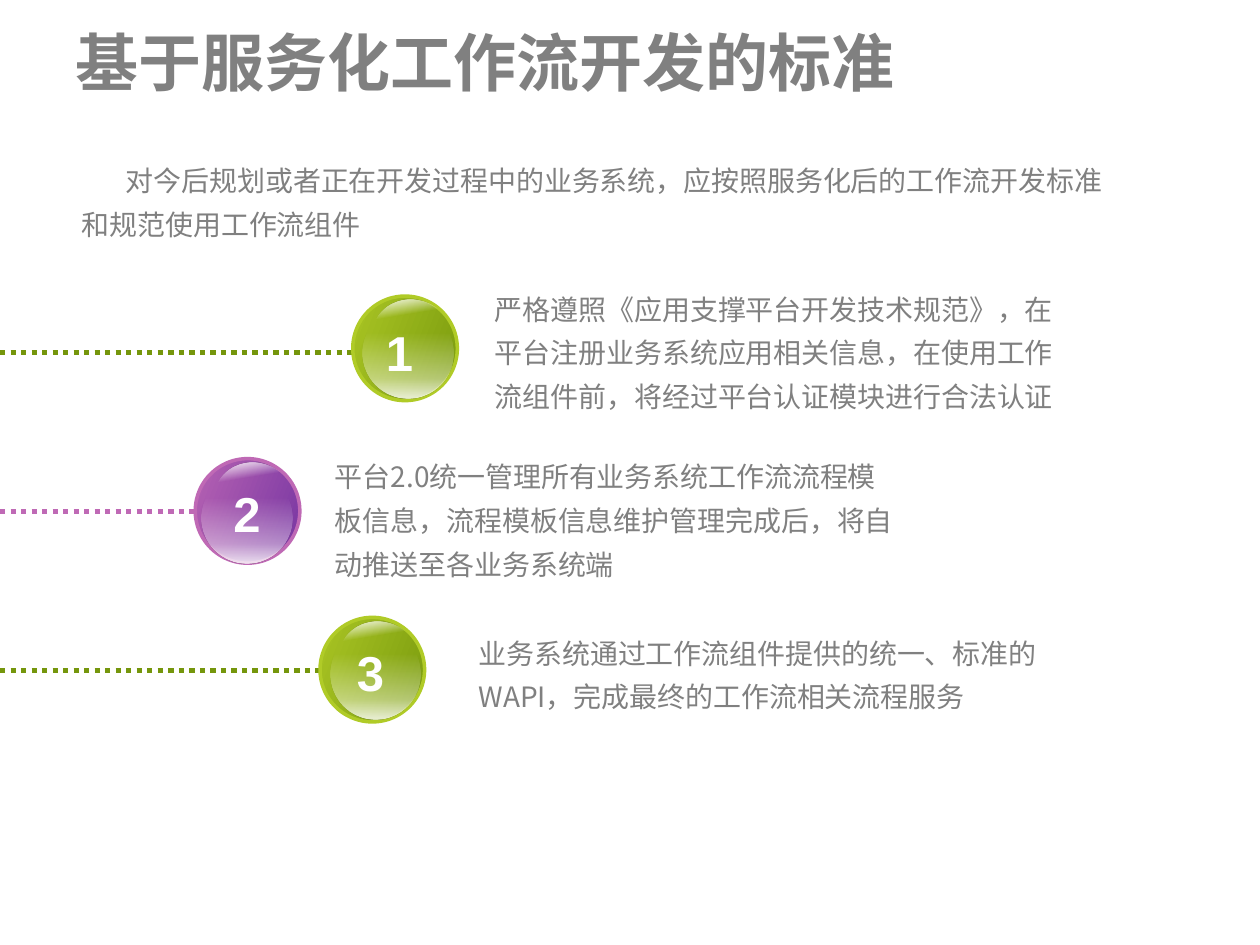
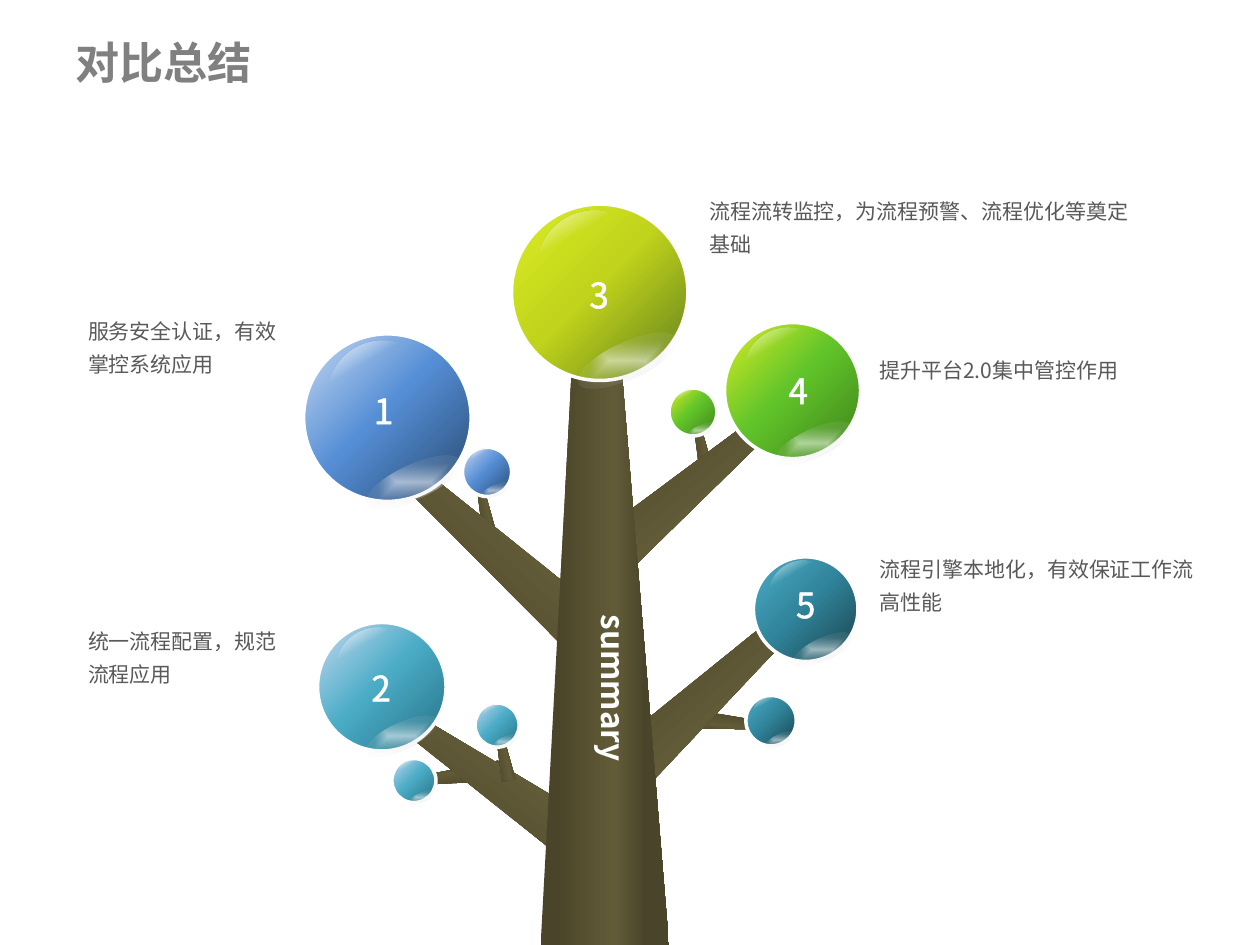
from dataclasses import dataclass

from lxml import etree
from pptx import Presentation
from pptx import util as u
from pptx.dml import color
from pptx.enum import dml, shapes, text
from pptx.oxml import ns


@dataclass(frozen=True)
class Theme:
    font: str = "Noto Sans CJK SC"
    number_font: str = "Arial"
    white: str = "FFFFFF"
    gray: str = "808080"
    dark_gray: str = "595959"
    dark_green: str = "75960C"
    green: str = "B0CB27"
    purple: str = "7030A0"
    pink: str = "BF69B5"
    bark: tuple = ((11, "4A452A"), (58, "625B38"), (82, "4A452A"))
    lime: tuple = ((0, "DAED23"), (47, "C1D31B"), (82, "809B1D"))
    leaf: tuple = ((0, "DAED23"), (47, "61C42A"), (82, "4B991F"))
    blue: tuple = ((0, "C6D9F1"), (47, "558ED5"), (82, "376092"))
    aqua: tuple = ((0, "C6D9F1"), (47, "4BACC6"), (82, "31859C"))
    teal: tuple = ((0, "4BACC6"), (47, "31859C"), (82, "215968"))
    title_size: float = 36
    small_title_size: float = 25.2
    number_size: float = 28
    fruit_size: float = 20
    trunk_size: float = 18
    body_size: float = 16
    note_size: float = 12
    line_spacing: float = 1.3


THEME = Theme()

# Gradient stops: position, colour, opacity (all in percent)
GLOW = ((28, THEME.white, 0), (78, THEME.white, 41), (98, THEME.white, 79))
GLINT = ((0, THEME.white, 55), (50, "D7D7D7", 12), (100, THEME.white, 0))


def sheen(opacity):
    return ((0, THEME.white, 0), (16, THEME.white, opacity), (30, THEME.white, 0))


def inches(values):
    return [u.Inches(value) for value in values]


def add_child(parent, tag, **attributes):
    child = etree.SubElement(parent, ns.qn(tag))
    for name, value in attributes.items():
        child.set(name, str(value))
    return child


def fill_gradient(shape, stops, angle=0, path=None, focus=(0, 0, 100, 100)):
    """Fill with a linear gradient, or a path gradient around a focus."""
    shape.fill.background()
    properties = shape.element.spPr
    placeholder = properties.find(ns.qn("a:noFill"))
    gradient = etree.Element(ns.qn("a:gradFill"), rotWithShape="1")
    stop_list = add_child(gradient, "a:gsLst")
    for position, rgb, *opacity in stops:
        stop = add_child(stop_list, "a:gs", pos=position * 1000)
        stop_color = add_child(stop, "a:srgbClr", val=rgb)
        if opacity:
            add_child(stop_color, "a:alpha", val=opacity[0] * 1000)
    if path:
        path_element = add_child(gradient, "a:path")
        path_element.set("path", path)
        edges = {side: edge * 1000 for side, edge in zip("ltrb", focus)}
        add_child(path_element, "a:fillToRect", **edges)
    else:
        add_child(gradient, "a:lin", ang=angle * 60000, scaled=0)
    properties.replace(placeholder, gradient)


def set_line(shape, rgb=None, width=2):
    if rgb is None:
        shape.line.fill.background()
        return
    shape.line.color.rgb = color.RGBColor.from_string(rgb)
    shape.line.width = u.Pt(width)


def add_text(slide, box, content, size=THEME.body_size, rgb=THEME.gray,
             font=THEME.font, bold=False, align=None, anchor=text.MSO_ANCHOR.TOP,
             spacing=None, indent=0, outline=0, vertical=None, wrap=True):
    shape = slide.shapes.add_textbox(*inches(box))
    frame = shape.text_frame
    frame.word_wrap = wrap
    frame.vertical_anchor = anchor
    if vertical:
        frame._txBody.bodyPr.set("vert", vertical)
    paragraph = frame.paragraphs[0]
    paragraph.alignment = align
    paragraph.line_spacing = spacing
    if indent:
        paragraph._p.get_or_add_pPr().set("indent", str(u.Inches(indent)))
    run = paragraph.add_run()
    run.text = content
    run.font.size = u.Pt(size)
    run.font.bold = bold
    run.font.name = font
    run.font.color.rgb = color.RGBColor.from_string(rgb)
    properties = run._r.get_or_add_rPr()
    add_child(properties, "a:ea", typeface=font)
    if outline:
        line = etree.Element(ns.qn("a:ln"), w=str(u.Pt(outline)))
        add_child(add_child(line, "a:solidFill"), "a:srgbClr", val=rgb)
        properties.insert(0, line)
    return shape


def add_title(slide, content, size):
    add_text(slide, (0.5, 0.21, 9, 0.56), content, size=size, bold=True,
             anchor=text.MSO_ANCHOR.MIDDLE)


def add_oval(group, box, stops, rotation=0, line=None, **gradient):
    oval = group.shapes.add_shape(shapes.MSO_SHAPE.OVAL, *inches(box))
    oval.shadow.inherit = False
    oval.rotation = rotation
    fill_gradient(oval, stops, **gradient)
    set_line(oval, line)


# Slide 1: numbered glass balls on dotted lines

def add_dotted_line(slide, y, end, rgb):
    line = slide.shapes.add_connector(
        shapes.MSO_CONNECTOR.STRAIGHT, *inches((0, y, end, y)))
    set_line(line, rgb, 3)
    line.line.dash_style = dml.MSO_LINE.ROUND_DOT
    add_child(line.element.spPr, "a:effectLst")


def add_glass_ball(slide, left, top, dark, light, glow_offset):
    group = slide.shapes.add_group_shape()
    glow_x, glow_y = glow_offset
    add_oval(group, (left, top, 0.83, 0.83), ((2, dark), (100, light)),
             rotation=21.1, line=light, angle=180)
    add_oval(group, (left + 0.14, top + 0.04, 0.68, 0.63), sheen(87),
             rotation=35.7, angle=45)
    add_oval(group, (left + glow_x, top + glow_y, 0.72, 0.72), GLOW, angle=90)


def build_standards_slide(slide):
    add_title(slide, "基于服务化工作流开发的标准", THEME.title_size)
    add_text(slide, (0.55, 1.17, 8.36, 0.8),
             "对今后规划或者正在开发过程中的业务系统，应按照服务化后的工作流开发标准和规范使用工作流组件",
             spacing=THEME.line_spacing, indent=0.35)
    green = (THEME.dark_green, THEME.green, THEME.dark_green)
    purple = (THEME.purple, THEME.pink, THEME.pink)
    # Ball corner, colours, glow offset, line end, number corner, text box, text
    standards = [
        ((2.8, 2.35), green, (0.08, 0.09), 2.95, (2.87, 2.51), (3.83, 2.19, 4.84, 1.15),
         "严格遵照《应用支撑平台开发技术规范》，在平台注册业务系统应用相关信息，在使用工作流组件前，将经过平台认证模块进行合法认证"),
        ((1.55, 3.64), purple, (0.05, 0.11), 1.61, (1.66, 3.79), (2.56, 3.52, 4.71, 1.15),
         "平台2.0统一管理所有业务系统工作流流程模板信息，流程模板信息维护管理完成后，将自动推送至各业务系统端"),
        ((2.54, 4.9), green, (0.08, 0.09), 2.64, (2.64, 5.05), (3.7, 4.92, 4.71, 0.77),
         "业务系统通过工作流组件提供的统一、标准的WAPI，完成最终的工作流相关流程服务"),
    ]
    for index, (corner, colors, glow, line_end, number, box, content) in enumerate(standards):
        dark, light, line_color = colors
        add_dotted_line(slide, 2.8 + 1.26 * index, line_end, line_color)
        add_glass_ball(slide, *corner, dark, light, glow)
        add_text(slide, (*number, 0.6, 0.57), str(index + 1), size=THEME.number_size,
                 rgb=THEME.white, font=THEME.number_font, bold=True,
                 align=text.PP_ALIGN.CENTER)
        add_text(slide, box, content, spacing=THEME.line_spacing)


# Slide 2: summary tree

def add_limb(slide, box, rotation=0):
    """Tapered piece of wood, narrow at the top of its box."""
    left, top, width, height = inches(box)
    outline = [(0.25, 0), (0.72, 0.01), (0.62, 0), (1, 1), (0, 1)]
    points = [(left + x * width, top + y * height) for x, y in outline]
    builder = slide.shapes.build_freeform(*points[0])
    builder.add_line_segments(points[1:], close=True)
    limb = builder.convert_to_shape()
    limb.shadow.inherit = False
    limb.rotation = rotation
    fill_gradient(limb, THEME.bark)
    set_line(limb)


def add_fruit(slide, left, top, size, stops):
    group = slide.shapes.add_group_shape()

    def part(x, y, width, height):
        return left + x * size, top + y * size, width * size, height * size

    add_oval(group, part(0, 0, 1, 1), stops, line=THEME.white, path="circle")
    add_oval(group, part(0.35, 0.78, 0.61, 0.21), GLINT, rotation=335.4,
             path="shape", focus=(50, 50, 50, 50))
    add_oval(group, part(0.14, 0.04, 0.66, 0.66), sheen(51), rotation=15.2, angle=45)


def build_summary_slide(slide):
    add_title(slide, "对比总结", THEME.small_title_size)

    # Twigs and branches, then the trunk over them
    limbs = [
        ((5.67, 5.38, 0.16, 0.71), 96.2),
        ((5.51, 3.28, 0.11, 0.47), 349.5),
        ((3.79, 3.78, 0.11, 0.47), 349.5),
        ((3.53, 5.8, 0.16, 0.71), 263.8),
        ((5.55, 4.45, 0.41, 1.91), 48),
        ((3.61, 3.11, 0.41, 2.29), 312.6),
        ((5.26, 2.94, 0.41, 1.91), 50.3),
        ((3.73, 5.24, 0.41, 1.91), 305.5),
        ((4.29, 2.8, 1.02, 4.71), 0),
        ((3.94, 5.73, 0.11, 0.47), 349.5),
    ]
    for box, rotation in limbs:
        add_limb(slide, box, rotation)
    add_text(slide, (4.57, 4.78, 0.5, 1.29), "summary", size=THEME.trunk_size,
             rgb=THEME.white, bold=True, vertical="eaVert", wrap=False)

    # Numbered fruits: number, fruit, number corner, note box, note
    fruits = [
        ("3", (4.06, 1.62, 1.4, THEME.lime), (4.27, 2.12), (5.53, 1.47, 3.64, 0.6),
         "流程流转监控，为流程预警、流程优化等奠定基础"),
        ("4", (5.75, 2.56, 1.08, THEME.leaf), (5.85, 2.88), (6.88, 2.73, 2.85, 0.36),
         "提升平台2.0集中管控作用"),
        ("5", (5.98, 4.42, 0.83, THEME.teal), (5.91, 4.58), (6.88, 4.31, 2.85, 0.6),
         "流程引擎本地化，有效保证工作流高性能"),
        ("1", (2.41, 2.65, 1.33, THEME.blue), (2.56, 3.04), (0.6, 2.42, 1.81, 0.6),
         "服务安全认证，有效掌控系统应用"),
        ("2", (2.52, 4.94, 1.02, THEME.aqua), (2.54, 5.24), (0.6, 4.88, 1.81, 0.6),
         "统一流程配置，规范流程应用"),
    ]
    for number, fruit, corner, box, note in fruits:
        add_fruit(slide, *fruit)
        add_text(slide, (*corner, 0.97, 0.44), number, size=THEME.fruit_size,
                 rgb=THEME.white, align=text.PP_ALIGN.CENTER, outline=1.45)
        add_text(slide, box, note, size=THEME.note_size, rgb=THEME.dark_gray,
                 spacing=THEME.line_spacing)

    # Small fruits on the twigs
    for fruit in [
        (3.67, 3.55, 0.39, THEME.blue),
        (5.31, 3.08, 0.38, THEME.leaf),
        (5.92, 5.52, 0.4, THEME.teal),
        (3.77, 5.58, 0.35, THEME.aqua),
        (3.11, 6.02, 0.35, THEME.aqua),
    ]:
        add_fruit(slide, *fruit)


def main():
    presentation = Presentation()
    presentation.slide_width, presentation.slide_height = inches((10, 7.5))
    blank = presentation.slide_layouts[6]
    for build in (build_standards_slide, build_summary_slide):
        build(presentation.slides.add_slide(blank))
    presentation.save("out.pptx")


if __name__ == "__main__":
    main()
